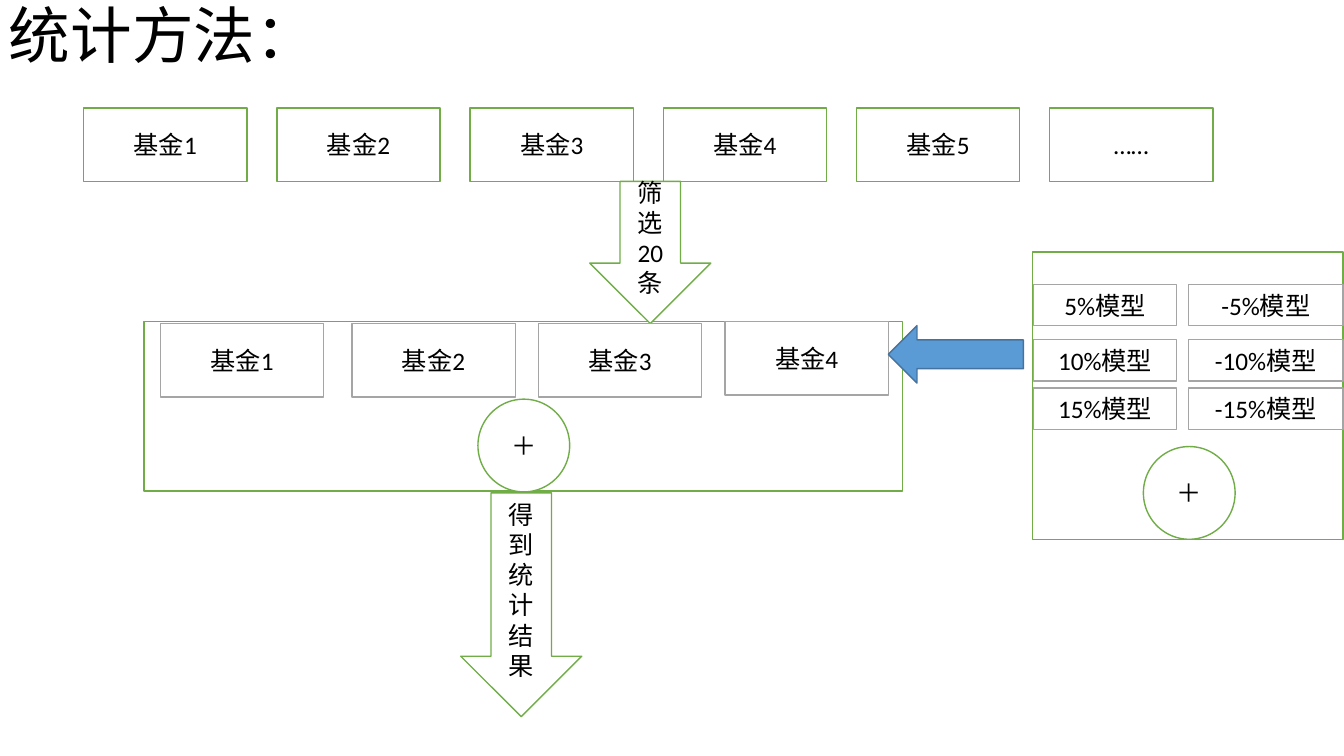
from pptx import Presentation
from pptx.dml.color import RGBColor
from pptx.enum.shapes import MSO_SHAPE
from pptx.enum.text import MSO_ANCHOR, PP_ALIGN
from pptx.util import Inches, Pt

RECTANGLE = MSO_SHAPE.RECTANGLE
OVAL = MSO_SHAPE.OVAL
DOWN_ARROW = MSO_SHAPE.DOWN_ARROW
RIGHT_ARROW = MSO_SHAPE.RIGHT_ARROW
MIDDLE = MSO_ANCHOR.MIDDLE
LEFT, CENTER = PP_ALIGN.LEFT, PP_ALIGN.CENTER

THEME = {
    "font": "Calibri",
    "title_size": 44,
    "body_size": 18,
    "line_width": 1,
    "text": "000000",
    "white": "FFFFFF",
    "green": "70AD47",
    "gray": "A5A5A5",
    "blue": "5B9BD5",
    "dark_blue": "43739E",
}


def write_text(shape, text, size, alignment):
    """Put one vertically centred paragraph into a shape."""
    frame = shape.text_frame
    frame.word_wrap = True
    frame.vertical_anchor = MIDDLE
    paragraph = frame.paragraphs[0]
    paragraph.alignment = alignment
    run = paragraph.add_run()
    run.text = text
    font_format = {"name": THEME["font"], "size": Pt(size)}
    for attribute, value in font_format.items():
        setattr(run.font, attribute, value)
    run.font.color.rgb = RGBColor.from_string(THEME["text"])
    return paragraph


def add_block(kind, box, text="", line="green", fill="white"):
    """Add an outlined preset shape with optional centred text."""
    shape = slide.shapes.add_shape(kind, *map(Inches, box))
    shape.shadow.inherit = False
    shape.fill.solid()
    shape.fill.fore_color.rgb = RGBColor.from_string(THEME[fill])
    shape.line.color.rgb = RGBColor.from_string(THEME[line])
    shape.line.width = Pt(THEME["line_width"])
    if text:
        write_text(shape, text, THEME["body_size"], CENTER)
    return shape


presentation = Presentation()
presentation.slide_width = Inches(13.33)
presentation.slide_height = Inches(7.5)
slide = presentation.slides.add_slide(presentation.slide_layouts[6])

# Panels behind the selected funds and the models
add_block(RECTANGLE, (1.43, 3.19, 7.52, 1.68))
add_block(RECTANGLE, (10.24, 2.5, 3.08, 2.85))

title_box = (-0.01, -0.34, 4.68, 1.45)
title = slide.shapes.add_textbox(*map(Inches, title_box))
title_paragraph = write_text(title, "统计方法：", THEME["title_size"], LEFT)
title_paragraph.line_spacing = 0.9

# All funds, evenly spaced
fund_width, fund_height = 1.62, 0.73
all_funds = ["基金1", "基金2", "基金3", "基金4", "基金5", "……"]
first_left, last_left = 0.83, 10.41
fund_step = (last_left - first_left) / (len(all_funds) - 1)
for index, name in enumerate(all_funds):
    left = first_left + index * fund_step
    add_block(RECTANGLE, (left, 1.07, fund_width, fund_height), name)

add_block(DOWN_ARROW, (5.85, 1.8, 1.2, 1.41), "筛选20条")

# Selected funds
selected_places = [(1.59, 3.21), (3.49, 3.21), (5.34, 3.21), (7.19, 3.19)]
for name, (left, top) in zip(all_funds, selected_places):
    add_block(RECTANGLE, (left, top, fund_width, fund_height), name, "gray")

# Models: positive column, then negative column
for sign, left, width in [("", 10.25, 1.42), ("-", 11.79, 1.53)]:
    for percent, top in [(5, 2.82), (10, 3.37), (15, 3.85)]:
        label = f"{sign}{percent}%模型"
        add_block(RECTANGLE, (left, top, width, 0.41), label, "gray")

add_block(DOWN_ARROW, (4.57, 4.89, 1.2, 2.22), "得到统计结果")

for left, top in [(4.74, 3.96), (11.34, 4.43)]:
    add_block(OVAL, (left, top, 0.91, 0.92), "＋")

models_arrow = add_block(
    RIGHT_ARROW, (8.81, 3.23, 1.34, 0.57), line="dark_blue", fill="blue")
models_arrow.rotation = 180

presentation.save("out.pptx")
